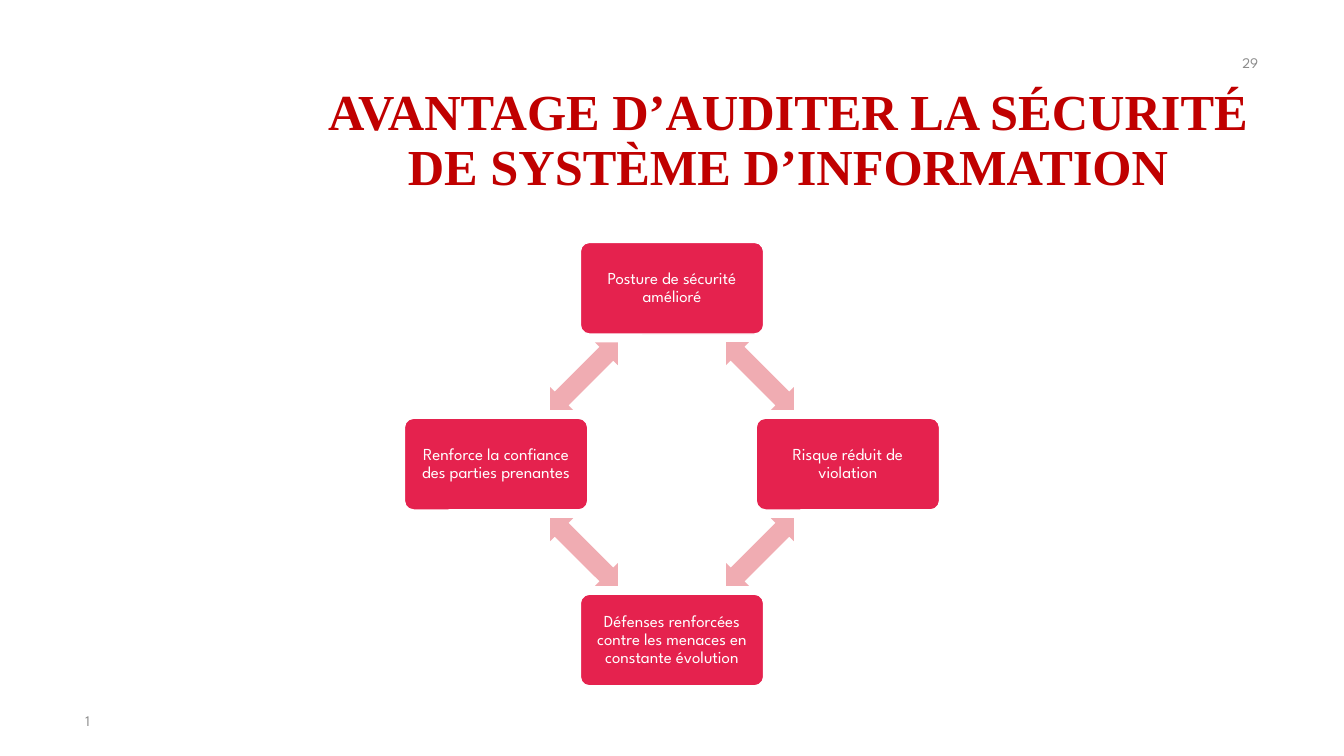
from dataclasses import dataclass
from math import cos, radians, sin

from pptx import Presentation
from pptx.dml.color import RGBColor
from pptx.enum.shapes import MSO_SHAPE as Kind
from pptx.enum.text import MSO_ANCHOR as Anchor, PP_ALIGN as Align
from pptx.util import Pt

RED, PINK, WHITE, GREY, TITLE = "E5224E", "F0ACB2", "FFFFFF", "8C8C8C", "C00000"
SANS, SERIF = "League Spartan", "Times New Roman"
MID_X, MID_Y = 480, 331.5
RING = 125.64
BOX_W, BOX_H = 131, 65.5
BAR_W, BAR_H = 68.4, 23.1


@dataclass
class Label:
    text: str
    left: float
    top: float
    width: float
    height: float
    align: Align
    size: float
    face: str
    tint: str
    bold: bool = False
    lead: float = 1.0


LABELS = [
    Label("AVANTAGE D’AUDITER LA SÉCURITÉ DE SYSTÈME D’INFORMATION",
          223.9, 50.4, 678.2, 101.5, Align.CENTER, 36, SERIF, TITLE, True, 0.9),
    Label("1", 54, 500.4, 612, 28.8, Align.LEFT, 10.5, SANS, GREY),
    Label("29", 689.8, 30.2, 216, 28.8, Align.RIGHT, 10.5, SANS, GREY),
]
STEPS = [
    "Posture de sécurité amélioré",
    "Risque réduit de violation",
    "Défenses renforcées contre les menaces en constante évolution",
    "Renforce la confiance des parties prenantes",
]


def color(code: str) -> RGBColor:
    return RGBColor.from_string(code)


def write(frame, text: str, align: Align, size: float, face: str,
          tint: str, bold: bool, lead: float) -> None:
    frame.word_wrap = True
    frame.vertical_anchor = Anchor.MIDDLE
    para = frame.paragraphs[0]
    para.text = text
    para.alignment = align
    para.line_spacing = lead
    font = para.font
    font.size, font.name, font.bold = Pt(size), face, bold
    font.color.rgb = color(tint)


def add_label(slide, item: Label) -> None:
    box = slide.shapes.add_textbox(Pt(item.left), Pt(item.top),
                                   Pt(item.width), Pt(item.height))
    write(box.text_frame, item.text, item.align, item.size, item.face,
          item.tint, item.bold, item.lead)


def add_form(slide, kind: Kind, angle: float, reach: float,
             width: float, height: float, fill: str):
    x = MID_X + reach * cos(radians(angle))
    y = MID_Y + reach * sin(radians(angle))
    form = slide.shapes.add_shape(kind, Pt(x - width / 2), Pt(y - height / 2),
                                  Pt(width), Pt(height))
    form.shadow.inherit = False
    form.fill.solid()
    form.fill.fore_color.rgb = color(fill)
    return form


def add_step(slide, text: str, angle: float) -> None:
    box = add_form(slide, Kind.ROUNDED_RECTANGLE, angle, RING, BOX_W, BOX_H, RED)
    box.adjustments[0] = 0.1
    box.line.color.rgb = color(WHITE)
    box.line.width = Pt(1)
    frame = box.text_frame
    frame.margin_left = frame.margin_right = Pt(5.5)
    frame.margin_top = frame.margin_bottom = Pt(5.5)
    write(frame, text, Align.CENTER, 12, SANS, WHITE, False, 0.9)


def add_arrow(slide, angle: float) -> None:
    reach = RING * cos(radians(45))
    bar = add_form(slide, Kind.LEFT_RIGHT_ARROW, angle, reach, BAR_W, BAR_H, PINK)
    bar.adjustments[0] = 0.6
    bar.adjustments[1] = 0.5
    bar.line.fill.background()
    bar.rotation = angle + 90


def main() -> None:
    deck = Presentation()
    deck.slide_width, deck.slide_height = Pt(960), Pt(540)
    slide = deck.slides.add_slide(deck.slide_layouts[6])
    for item in LABELS:
        add_label(slide, item)
    for i, text in enumerate(STEPS):
        angle = 90 * i - 90
        add_step(slide, text, angle)
        add_arrow(slide, angle + 45)
    deck.save("out.pptx")


if __name__ == "__main__":
    main()
